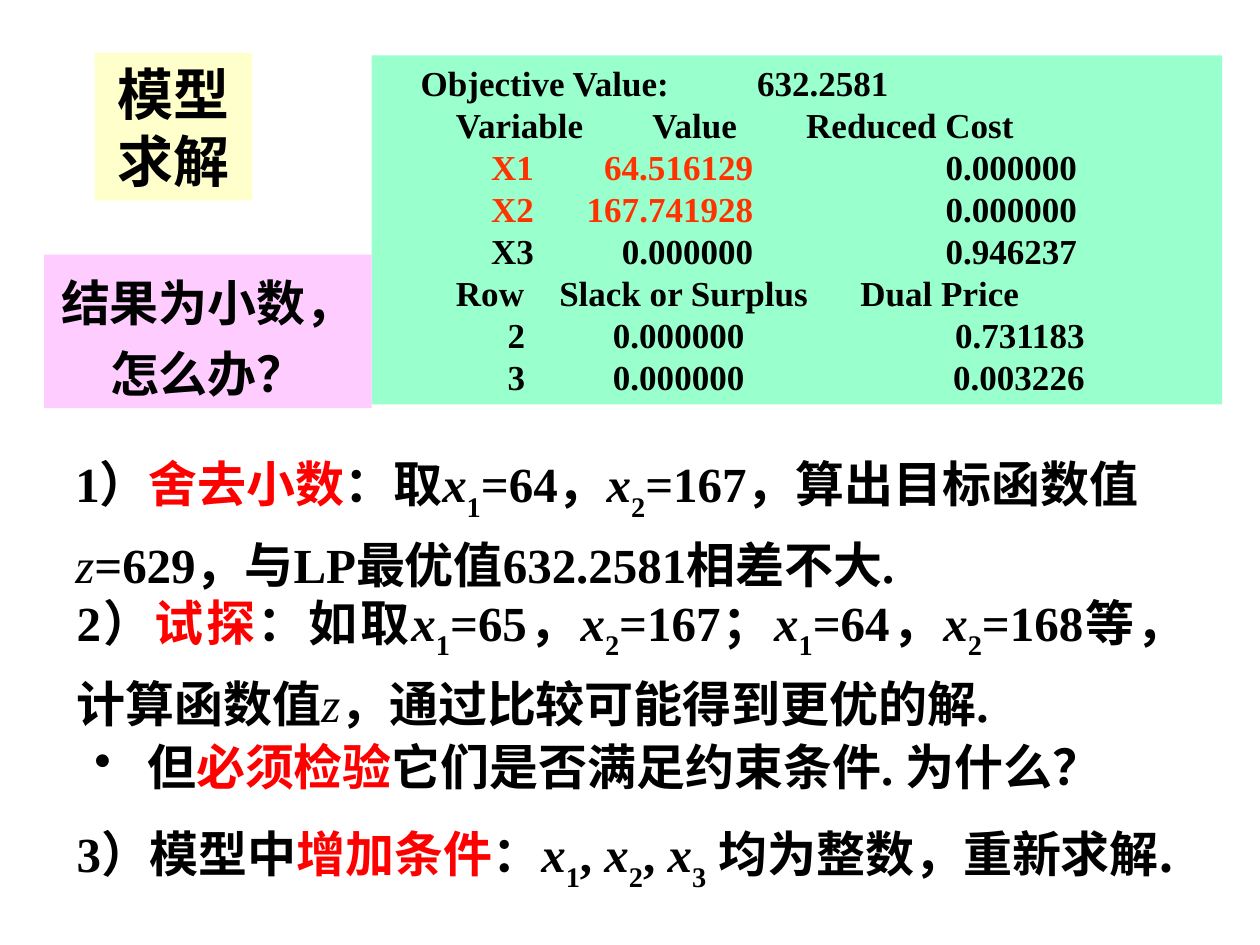
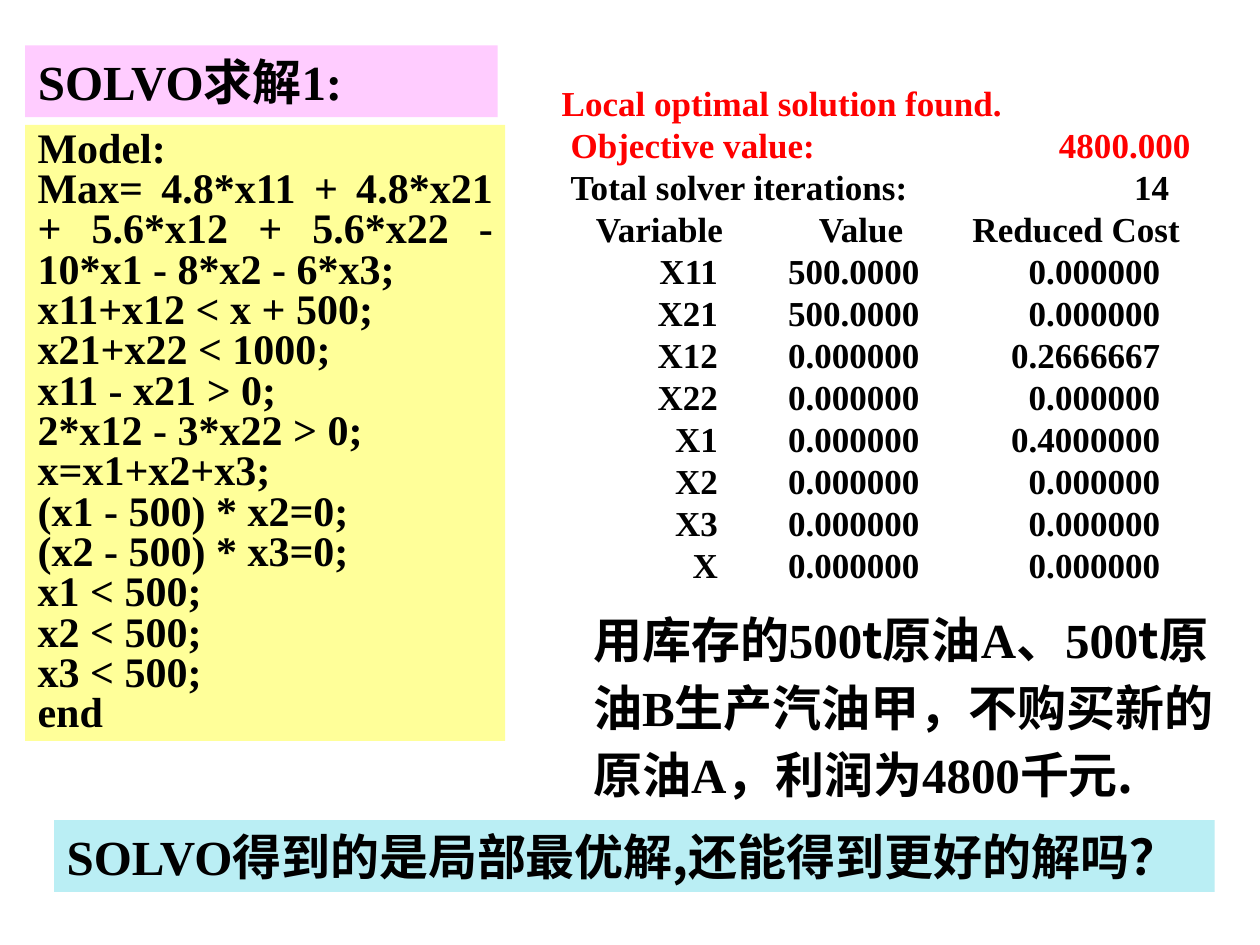
from lxml.etree import SubElement
from pptx import Presentation
from pptx.dml.color import RGBColor
from pptx.enum.shapes import MSO_SHAPE
from pptx.enum.text import MSO_ANCHOR, MSO_AUTO_SIZE, PP_ALIGN
from pptx.oxml.ns import qn
from pptx.util import Inches, Pt

HUES = {
    "black": "000000", "red": "FF0000", "orange": "FF3300",
    "cream": "FFFFCC", "mint": "99FFCC", "pink": "FFCCFF",
    "yellow": "FFFF99", "sky": "BAEEF4",
}
ROMAN = "Times New Roman"
HAN = "Noto Sans CJK SC"
LEFT, MID, JUST = PP_ALIGN.LEFT, PP_ALIGN.CENTER, PP_ALIGN.JUSTIFY

X1 = [("x", "i"), ("1", "s")]
X2 = [("x", "i"), ("2", "s")]
X3 = [("x", "i"), ("3", "s")]

HEAD = [("l", 0.57), ("l", 2.13), ("l", 3.35)]
VARS = [("r", 1.19), ("r", 2.93), ("r", 5.5)]
DUALS = [("r", 1.12), ("r", 2.86), ("r", 5.56)]
REPORT = [
    ([("l", 0.29), ("l", 2.96)], ["Objective Value:", "632.2581"], 0),
    (HEAD, ["Variable", "Value", "Reduced Cost"], 0),
    (VARS, ["X1", "64.516129", "0.000000"], 2),
    (VARS, ["X2", "167.741928", "0.000000"], 2),
    (VARS, ["X3", "0.000000", "0.946237"], 0),
    ([("l", 0.57), ("l", 1.39), ("l", 3.78)],
     ["Row", "Slack or Surplus", "Dual Price"], 0),
    (DUALS, ["2", "0.000000", "0.731183"], 0),
    (DUALS, ["3", "0.000000", "0.003226"], 0),
]

COLS = [("r", 1.31), ("r", 2.91), ("r", 4.82)]
ZERO = "0.000000"
FOUND = [
    ([("l", 0.07)], ["Local optimal solution found."], 1),
    ([("l", 0.14), ("r", 5.06)], ["Objective value:", "4800.000"], 2),
    ([("l", 0.14), ("r", 4.89)], ["Total solver iterations:", "14"], 0),
    ([("l", 0.34), ("l", 2.11), ("l", 3.33)],
     ["Variable", "Value", "Reduced Cost"], 0),
] + [(COLS, row, 0) for row in [
    ["X11", "500.0000", ZERO],
    ["X21", "500.0000", ZERO],
    ["X12", ZERO, "0.2666667"],
    ["X22", ZERO, ZERO],
    ["X1", ZERO, "0.4000000"],
    ["X2", ZERO, ZERO],
    ["X3", ZERO, ZERO],
    ["X", ZERO, ZERO],
]]

CODE = [
    "Model:",
    "Max= 4.8*x11 + 4.8*x21 + 5.6*x12 + 5.6*x22 - 10*x1 - 8*x2 - 6*x3;",
    "x11+x12 < x + 500;",
    "x21+x22 < 1000;",
    "x11 - x21 > 0;",
    "2*x12 - 3*x22 > 0;",
    "x=x1+x2+x3;",
    "(x1 - 500) * x2=0;",
    "(x2 - 500) * x3=0;",
    "x1 < 500;",
    "x2 < 500;",
    "x3 < 500;",
    "end",
]


def paint(shape, hue):
    shape.fill.solid()
    shape.fill.fore_color.rgb = RGBColor.from_string(HUES[hue])


def prep(shape):
    frame = shape.text_frame
    frame.word_wrap = True
    frame.auto_size = MSO_AUTO_SIZE.NONE
    frame.vertical_anchor = MSO_ANCHOR.TOP
    return frame


def box(slide, spot, hue=None):
    place = [Inches(n) for n in spot]
    if not hue:
        return prep(slide.shapes.add_textbox(*place))
    shape = slide.shapes.add_shape(MSO_SHAPE.RECTANGLE, *place)
    shape.shadow.inherit = False
    shape.line.fill.background()
    paint(shape, hue)
    return prep(shape)


def title(slide, spot, hue):
    shape = slide.shapes.title
    shape.left, shape.top, shape.width, shape.height = map(Inches, spot)
    paint(shape, hue)
    return prep(shape)


def style(run, size, marks, hue):
    font = run.font
    font.size = Pt(size)
    font.bold = "n" not in marks
    font.italic = "i" in marks
    font.name = HAN if "h" in marks else ROMAN
    font.color.rgb = RGBColor.from_string(HUES["red" if "r" in marks else hue])
    props = run._r.get_or_add_rPr()
    SubElement(props, qn("a:ea")).set("typeface", HAN)
    if "s" in marks:
        props.set("baseline", "-30000")


def write(para, runs, size=28, align=LEFT, pitch=1.0, hue="black"):
    para.alignment = align
    para.line_spacing = pitch
    for part in runs:
        words, marks = part if isinstance(part, tuple) else (part, "")
        run = para.add_run()
        run.text = words
        style(run, size, marks, hue)


def lines(frame, count):
    return [frame.paragraphs[0]] + [frame.add_paragraph() for _ in range(count - 1)]


def table(frame, rows, hue):
    for para, (stops, cells, lit) in zip(lines(frame, len(rows)), rows):
        tabs = SubElement(para._p.get_or_add_pPr(), qn("a:tabLst"))
        for side, at in stops:
            tab = SubElement(tabs, qn("a:tab"))
            tab.set("pos", str(Inches(at)))
            tab.set("algn", side)
        for i, cell in enumerate(cells):
            write(para, ["\t" + cell], 20, hue=hue if i < lit else "black")


def bullet(para, gap):
    props = para._p.get_or_add_pPr()
    props.set("marL", str(Inches(gap)))
    props.set("indent", str(-Inches(gap)))
    SubElement(props, qn("a:buChar")).set("char", "•")


def say(frame, runs, **look):
    write(frame.paragraphs[0], runs, **look)


def solve(slide):
    say(title(slide, (0.75, 0.42, 1.25, 1.17), "cream"),
        [("模型求解", "h")], size=32, align=MID)
    say(box(slide, (0.51, 6.49, 9.4, 0.57)),
        ["3）模型中", ("增加条件", "r"), "：", *X1, ", ", *X2, ", ", *X3,
         " ", ("均为整数，重新求解.", "h")])
    table(box(slide, (2.95, 0.44, 6.75, 2.77), "mint"), REPORT, "orange")
    say(box(slide, (0.35, 2.02, 2.6, 1.22), "pink"),
        ["结果为小数，怎么办？"], align=MID, pitch=1.2)
    say(box(slide, (0.5, 3.44, 9, 1.22)),
        ["1）", ("舍去小数", "r"), "：取", *X1, "=64，", *X2,
         "=167，算出目标函数值 ", ("z", "in"),
         "=629，与LP最优值632.2581相差不大."], pitch=1.2)
    say(box(slide, (0.51, 4.54, 9, 1.22)),
        ["2）", ("试探", "r"), "：如取", *X1, "=65，", *X2, "=167；",
         *X1, "=64，", *X2, "=168等，计算函数值", ("z", "in"),
         "，通过比较可能得到更优的解."], align=JUST, pitch=1.2)
    note = box(slide, (0.65, 5.8, 8.92, 0.57))
    bullet(note.paragraphs[0], 0.42)
    say(note, ["但", ("必须检验", "r"), "它们是否满足约束条件. 为什么？"])


def local(slide):
    say(title(slide, (0.2, 0.36, 3.75, 0.57), "pink"), ["SOLVO求解1:"])
    code = box(slide, (0.2, 0.99, 3.81, 4.89), "yellow")
    for para, row in zip(lines(code, len(CODE)), CODE):
        write(para, [row], 24, JUST, 0.8)
    table(box(slide, (4.29, 0.6, 5.43, 4.1)), FOUND, "red")
    say(box(slide, (0.43, 6.51, 9.21, 0.57), "sky"),
        ["SOLVO", ("得到的是局部最优解,还能得到更好的解吗？", "h")])
    say(box(slide, (4.61, 4.72, 5.39, 1.71)),
        [("用库存的", "h"), "500", ("t原油", "h"), "A", ("、", "h"),
         "500", ("t原油", "h"), "B", ("生产汽油甲，不购买新的原油", "h"),
         "A", ("，利润为", "h"), "4800千", ("元.", "h")], pitch=1.15)


def main():
    deck = Presentation()
    deck.slide_width, deck.slide_height = Inches(10), Inches(7.5)
    for build in (solve, local):
        build(deck.slides.add_slide(deck.slide_layouts[5]))
    deck.save("out.pptx")


if __name__ == "__main__":
    main()
